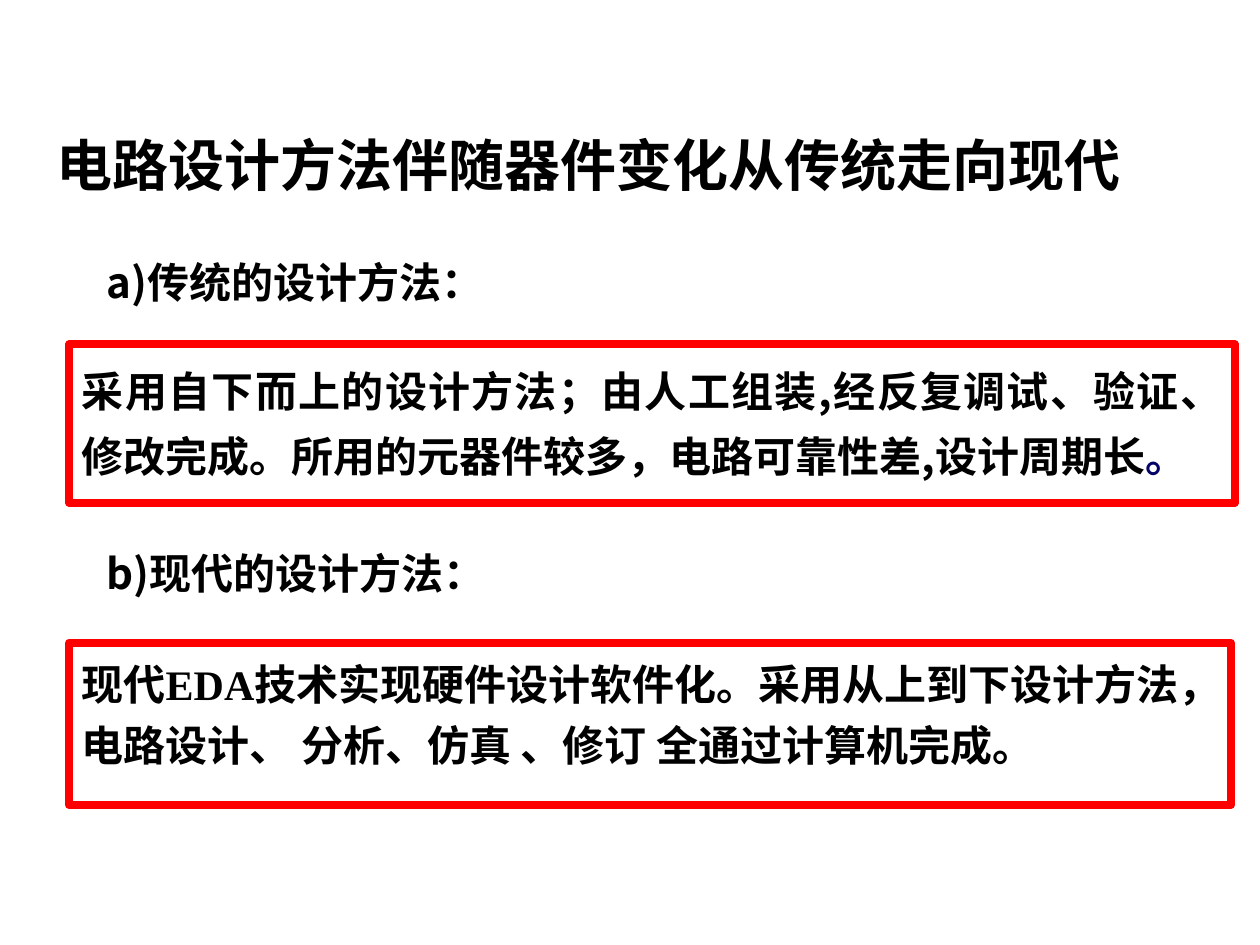
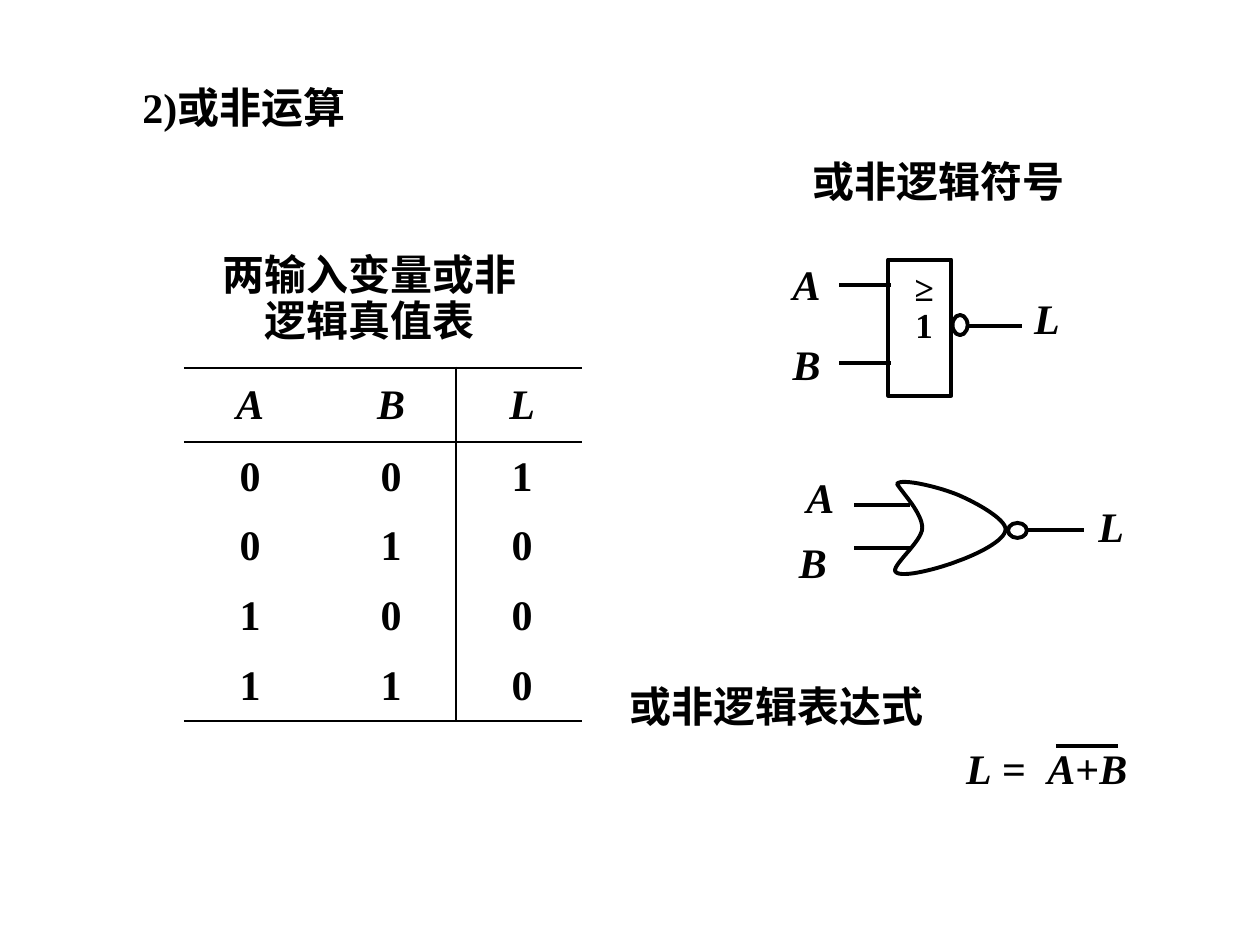
from dataclasses import dataclass
from typing import NamedTuple

from lxml import etree
from pptx import Presentation
from pptx.dml.color import RGBColor
from pptx.enum.shapes import MSO_CONNECTOR, MSO_SHAPE
from pptx.enum.text import MSO_ANCHOR, PP_ALIGN
from pptx.oxml.ns import qn
from pptx.util import Pt

STRAIGHT = MSO_CONNECTOR.STRAIGHT
RECT = MSO_SHAPE.RECTANGLE
OVAL = MSO_SHAPE.OVAL
LEFT = PP_ALIGN.LEFT
MID = PP_ALIGN.CENTER
FULL = PP_ALIGN.JUSTIFY
TOP = MSO_ANCHOR.TOP
CENTER = MSO_ANCHOR.MIDDLE

COLORS = {"ink": "000000", "red": "FF0000", "navy": "040468"}
SANS = "Noto Sans CJK SC"
SERIF = "Times New Roman"
STROKE = 2.25
RULE = 1.5


class Bit(NamedTuple):
    text: str
    font: str = SERIF
    color: str = "ink"
    slant: bool = False


@dataclass
class Label:
    x: float
    y: float
    w: float
    h: float
    text: str
    size: float = 24
    font: str = SERIF
    slant: bool = False
    align: PP_ALIGN = LEFT
    space: float = 1.0
    pad: bool = True
    wrap: bool = True
    tail: tuple[Bit, ...] = ()
    tab: float = 0


class Wire(NamedTuple):
    x: float
    y: float
    end: float


class Shape(NamedTuple):
    kind: MSO_SHAPE
    x: float
    y: float
    w: float
    h: float


def tint(name: str) -> RGBColor:
    return RGBColor.from_string(COLORS[name])


def style(run, size: float, font: str, color: str = "ink", slant: bool = False) -> None:
    run.font.size = Pt(size)
    run.font.bold = True
    run.font.italic = slant
    run.font.color.rgb = tint(color)
    run.font.name = font
    latin = run.font._element.find(qn("a:latin"))
    east = etree.Element(qn("a:ea"), typeface=SANS)
    latin.addnext(east)


def write(frame, label: Label) -> None:
    frame.word_wrap = label.wrap
    frame.vertical_anchor = TOP
    side, edge = (7.2, 3.6) if label.pad else (0, 0)
    frame.margin_left = frame.margin_right = Pt(side)
    frame.margin_top = frame.margin_bottom = Pt(edge)
    para = frame.paragraphs[0]
    para.text = label.text
    para.alignment = label.align
    para.line_spacing = label.space
    if label.tab:
        stops = etree.SubElement(para._p.get_or_add_pPr(), qn("a:tabLst"))
        etree.SubElement(stops, qn("a:tab"), pos=str(Pt(label.tab)), algn="l")
    for run in para.runs:
        style(run, label.size, label.font, slant=label.slant)
    for bit in label.tail:
        run = para.add_run()
        run.text = bit.text
        style(run, label.size, bit.font, bit.color, bit.slant)


def put(slide, label: Label) -> None:
    box = slide.shapes.add_textbox(Pt(label.x), Pt(label.y), Pt(label.w), Pt(label.h))
    write(box.text_frame, label)


def trace(shape, color: str, width: float) -> None:
    shape.shadow.inherit = False
    shape.fill.background()
    shape.line.color.rgb = tint(color)
    shape.line.width = Pt(width)


def frame(slide, label: Label) -> None:
    box = slide.shapes.add_shape(RECT, Pt(label.x), Pt(label.y), Pt(label.w), Pt(label.h))
    trace(box, "red", 4.5)
    write(box.text_frame, label)


def wire(slide, item: Wire) -> None:
    line = slide.shapes.add_connector(STRAIGHT, Pt(item.x), Pt(item.y), Pt(item.end), Pt(item.y))
    line.line.color.rgb = tint("ink")
    line.line.width = Pt(STROKE)
    etree.SubElement(line._element.spPr, qn("a:effectLst"))


def bend(start: tuple, curve: tuple, steps: int = 16) -> list[tuple]:
    knots = (start, *curve)
    dots = []
    for step in range(1, steps + 1):
        t = step / steps
        parts = ((1 - t) ** 3, 3 * t * (1 - t) ** 2, 3 * t * t * (1 - t), t ** 3)
        dots.append(tuple(Pt(sum(p * k[axis] for p, k in zip(parts, knots))) for axis in (0, 1)))
    return dots


def gate(slide, start: tuple, curves: list[tuple]) -> None:
    path = slide.shapes.build_freeform(Pt(start[0]), Pt(start[1]))
    dots = []
    for curve in curves:
        dots += bend(start, curve)
        start = curve[-1]
    path.add_line_segments(dots, close=True)
    trace(path.convert_to_shape(), "ink", STROKE)


def border(cell, drawn: dict[str, bool]) -> None:
    props = cell._tc.get_or_add_tcPr()
    for side, shown in drawn.items():
        line = etree.SubElement(props, qn(f"a:ln{side}"), w=str(Pt(RULE)))
        if shown:
            fill = etree.SubElement(line, qn("a:solidFill"))
            etree.SubElement(fill, qn("a:srgbClr"), val=COLORS["ink"])
        else:
            etree.SubElement(line, qn("a:noFill"))
    cell.fill.background()


def truth(slide, rows: list[str]) -> None:
    widths = (75.6, 79.9, 72)
    shifts = (0, 5.8, 3.6)
    heights = (42.5, *[39.8] * (len(rows) - 1))
    shape = slide.shapes.add_table(
        len(rows), len(widths), Pt(105.1), Pt(210.2), Pt(sum(widths)), Pt(sum(heights)))
    table = shape.table
    table.first_row = table.horz_banding = False
    for col, width in enumerate(widths):
        table.columns[col].width = Pt(width)
    for row, (height, marks) in enumerate(zip(heights, rows)):
        table.rows[row].height = Pt(height)
        for col, mark in enumerate(marks):
            cell = table.cell(row, col)
            cell.vertical_anchor = CENTER
            cell.margin_left = Pt(shifts[col])
            cell.margin_right = cell.margin_top = cell.margin_bottom = Pt(0)
            para = cell.text_frame.paragraphs[0]
            para.text = mark
            para.alignment = MID
            style(para.runs[0], 24, SERIF, slant=row == 0)
            border(cell, {"L": col == 2, "R": col == 1,
                          "T": row < 2, "B": row in (0, len(rows) - 1)})


def methods(slide) -> None:
    put(slide, Label(25.2, 71.3, 640.8, 46.1, "电路设计方法伴随器件变化从传统走向现代", 32, SANS))
    for y, text in ((143.3, "a)传统的设计方法："), (309.6, "b)现代的设计方法：")):
        put(slide, Label(54, y, 272.2, 36, text, font=SANS))
    frame(slide, Label(
        39.6, 196.6, 666, 90.7,
        "采用自下而上的设计方法；由人工组装,经反复调试、验证、修改完成。所用的元器件较多，电路可靠性差,设计周期长",
        font=SANS, align=FULL, space=1.3, tail=(Bit("。", SANS, "navy"),)))
    frame(slide, Label(
        39.6, 367.2, 663.8, 92.9, "现代EDA", space=1.2,
        tail=(Bit("技术实现硬件设计软件化。采用从上到下设计方法，电路设计、 分析、仿真 、修订 全通过计算机完成。", SANS),)))


def nor(slide) -> None:
    put(slide, Label(74.2, 43.2, 136.1, 36, "2)或非运算", wrap=False))
    for x, y, w, h, text in (
        (105.1, 145.4, 212.4, 51.8, "两输入变量或非\v逻辑真值表"),
        (445, 92.2, 182.9, 25.9, "或非逻辑符号"),
    ):
        put(slide, Label(x, y, w, h, text, align=MID, space=0.9, pad=False))
    truth(slide, ["ABL", "001", "010", "100", "110"])

    for x, y, name in (
        (452.9, 151.2, "A"), (452.9, 196.6, "B"), (590.4, 170.6, "L"),
        (460.8, 272.9, "A"), (456.5, 309.6, "B"), (627.1, 289.4, "L"),
    ):
        put(slide, Label(x, y, 15.8, 25.9, name, slant=True, align=MID,
                         space=0.9, pad=False, wrap=False))
    put(slide, Label(517.7, 154.8, 20.9, 21.6, "≥1", 20, align=MID,
                     space=0.9, pad=False, wrap=False))
    for item in (
        Wire(479.5, 162.7, 509), Wire(479.5, 207.4, 509), Wire(552.2, 186.5, 583.9),
        Wire(488.2, 288.7, 519.8), Wire(488.2, 313.2, 521.3), Wire(586.8, 303.1, 619.2),
        Wire(603.4, 426.2, 638.6),
    ):
        wire(slide, item)
    for part in (
        Shape(RECT, 507.6, 148.3, 36, 77.8),
        Shape(OVAL, 544.3, 180, 8.6, 11.5),
        Shape(OVAL, 576, 298.8, 10.8, 8.6),
    ):
        shape = slide.shapes.add_shape(part.kind, *(Pt(size) for size in part[1:]))
        trace(shape, "ink", STROKE)
    gate(slide, (512.6, 276.5), [
        ((514.8, 272.9), (537.8, 278.6), (547.9, 283)),
        ((558, 287.3), (574.6, 296.6), (574.6, 302.4)),
        ((574.6, 308.9), (558, 316.8), (547.9, 320.4)),
        ((537.1, 324.7), (515.5, 330.5), (511.9, 326.9)),
        ((508.3, 324), (527, 309.6), (527, 301.7)),
        ((527, 293), (515.5, 281.5), (512.6, 276.5)),
    ])

    put(slide, Label(352.8, 385.2, 202.3, 36, "或非逻辑表达式"))
    put(slide, Label(545, 420.5, 159.1, 36, "L", slant=True, tab=46.4, tail=(
        Bit(" =\t"), Bit("A", slant=True), Bit("+"), Bit("B", slant=True))))


def main() -> None:
    deck = Presentation()
    deck.slide_width, deck.slide_height = Pt(720), Pt(540)
    for draw in (methods, nor):
        draw(deck.slides.add_slide(deck.slide_layouts[6]))
    deck.save("out.pptx")


if __name__ == "__main__":
    main()
